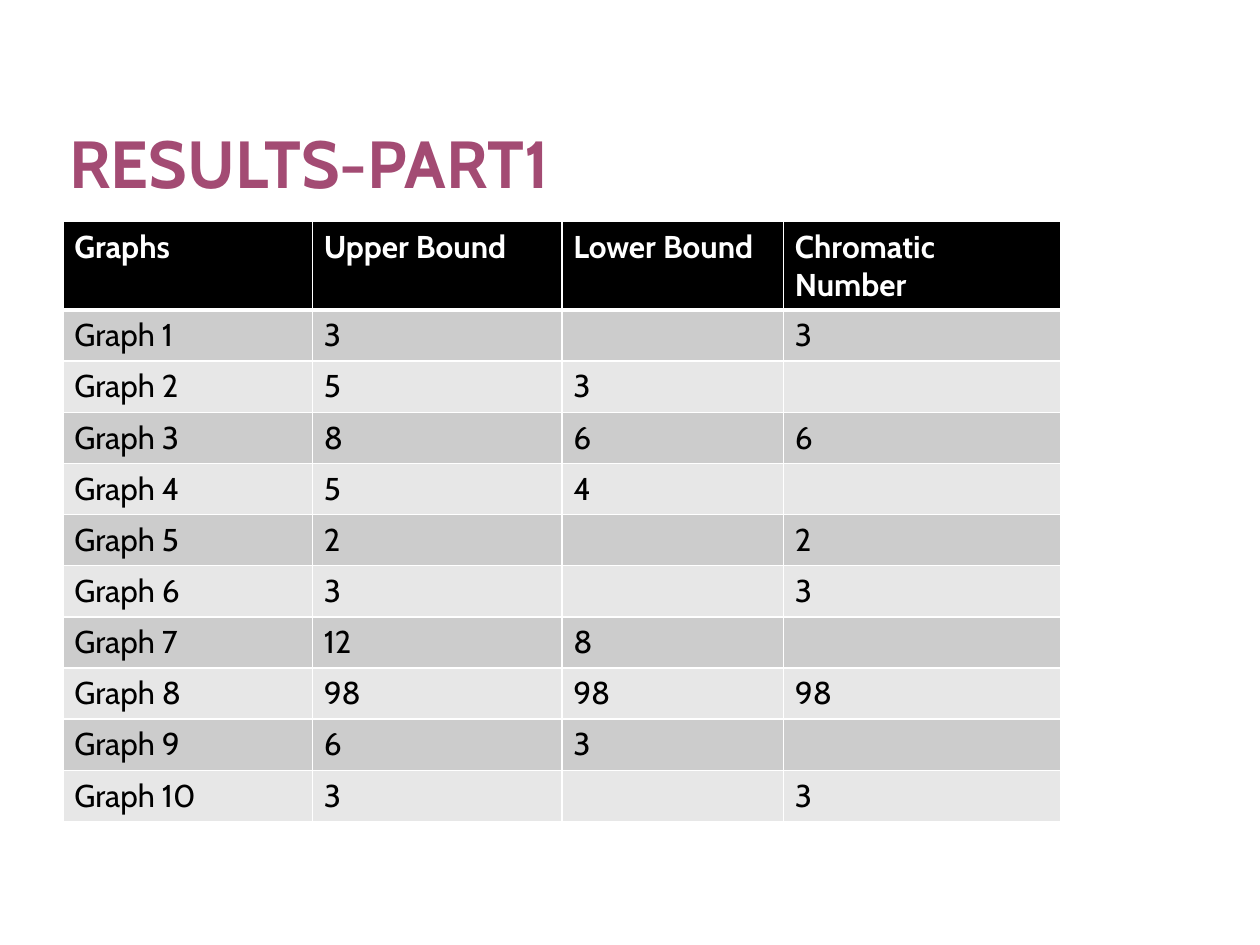
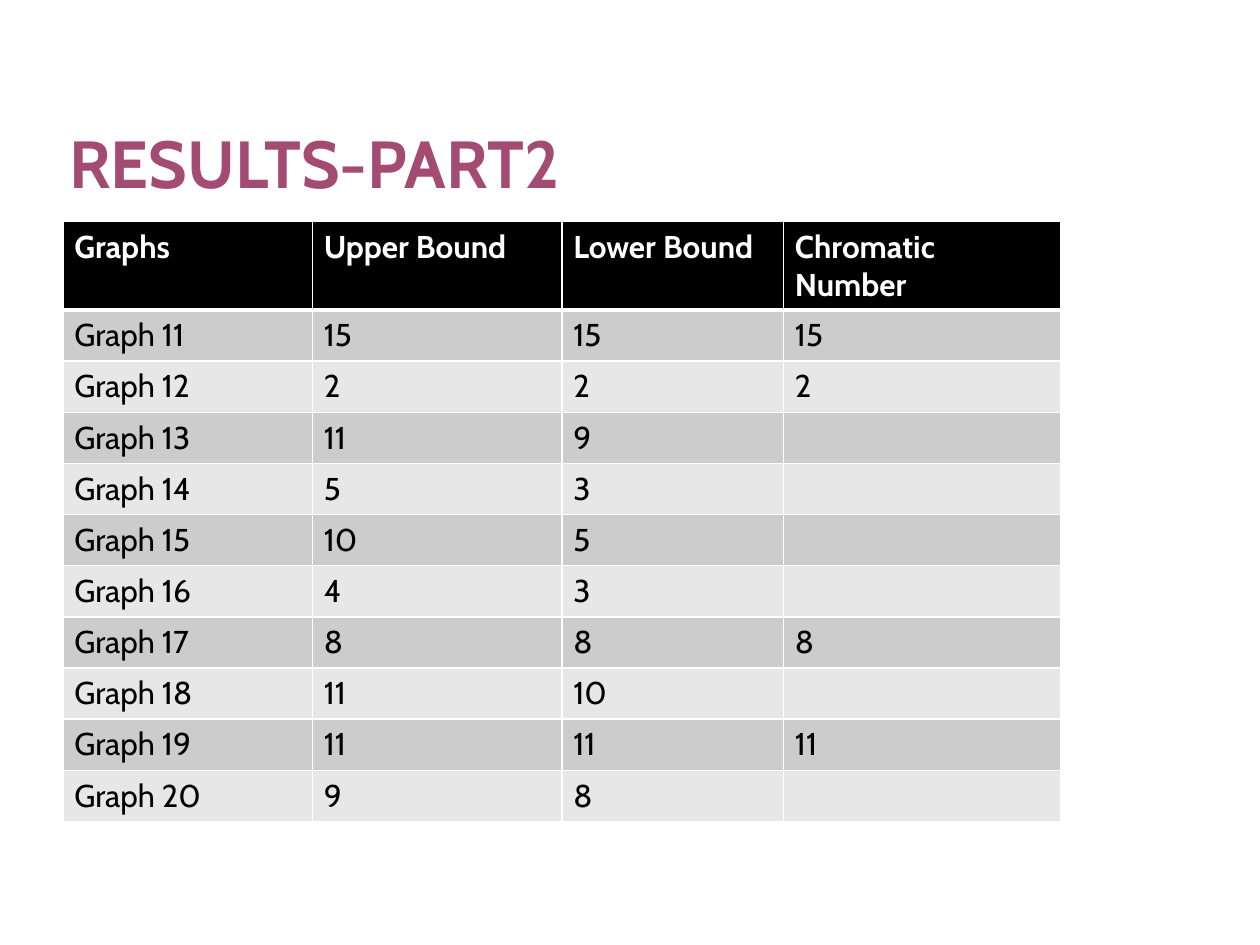
from dataclasses import dataclass

from lxml.etree import SubElement
from pptx import Presentation
from pptx.dml.color import RGBColor
from pptx.enum.text import MSO_ANCHOR
from pptx.oxml import parse_xml
from pptx.oxml.ns import nsdecls, qn
from pptx.util import Inches, Pt


@dataclass(frozen=True)
class Theme:
    font: str = "Cabin"
    title_size: float = 38
    table_size: float = 18
    title: str = "A34B73"
    title_outline: str = "5E1A50"
    header_fill: str = "000000"
    header_text: str = "FFFFFF"
    body_text: str = "000000"
    band_fills: tuple = ("CCCCCC", "E7E7E7")
    border: str = "FFFFFF"
    border_width: float = 1
    header_rule_width: float = 3


LEFT, CONTENT_WIDTH = 0.5, 7.92
TITLE_TOP, TITLE_HEIGHT = 0.35, 1.25
TABLE_TOP, TABLE_HEIGHT, HEADER_HEIGHT = 1.76, 4.76, 0.7
COLUMN_WIDTHS = (1.98, 1.98, 1.76, 2.2)
HEADERS = ("Graphs", "Upper Bound", "Lower Bound", "Chromatic Number")

# Upper bound, lower bound and chromatic number of each graph
PART_1 = [
    (3, "", 3), (5, 3, ""), (8, 6, 6), (5, 4, ""), (2, "", 2),
    (3, "", 3), (12, 8, ""), (98, 98, 98), (6, 3, ""), (3, "", 3),
]
PART_2 = [
    (15, 15, 15), (2, 2, 2), (11, 9, ""), (5, 3, ""), (10, 5, ""),
    (4, 3, ""), (8, 8, 8), (11, 10, ""), (11, 11, 11), (9, 8, ""),
]


class ResultsDeck:
    def __init__(self, theme):
        self.theme = theme
        self.presentation = Presentation()
        self.presentation.slide_width = Inches(10)
        self.presentation.slide_height = Inches(7.5)
        self.slide = None

    def add_slide(self):
        self.slide = self.presentation.slides.add_slide(self.presentation.slide_layouts[6])

    def format_runs(self, text_frame, size, color, bold):
        for paragraph in text_frame.paragraphs:
            for run in paragraph.runs:
                run.font.name = self.theme.font
                run.font.size = Pt(size)
                run.font.bold = bold
                run.font.color.rgb = RGBColor.from_string(color)

    def add_title(self, text):
        title_box = self.slide.shapes.add_textbox(
            Inches(LEFT), Inches(TITLE_TOP), Inches(CONTENT_WIDTH), Inches(TITLE_HEIGHT))
        text_frame = title_box.text_frame
        text_frame.word_wrap = True
        text_frame.vertical_anchor = MSO_ANCHOR.BOTTOM
        text_frame.margin_left = text_frame.margin_right = Inches(0.05)
        text_frame.margin_top = text_frame.margin_bottom = 0
        text_frame.text = text
        self.format_runs(text_frame, self.theme.title_size, self.theme.title, True)
        outline = parse_xml(
            f'<a:ln {nsdecls("a")} w="{Pt(0.04)}"><a:solidFill>'
            f'<a:srgbClr val="{self.theme.title_outline}"/></a:solidFill></a:ln>')
        text_frame.paragraphs[0].runs[0].font._element.insert(0, outline)

    def add_borders(self, cell, top, bottom):
        """Draw the four cell borders; top and bottom are widths in points."""
        side = self.theme.border_width
        properties = cell._tc.get_or_add_tcPr()
        for tag, width in (("lnL", side), ("lnR", side), ("lnT", top), ("lnB", bottom)):
            line = SubElement(properties, qn(f"a:{tag}"), w=str(Pt(width)))
            fill = SubElement(line, qn("a:solidFill"))
            SubElement(fill, qn("a:srgbClr"), val=self.theme.border)

    def fill_cell(self, cell, value, row_index):
        theme = self.theme
        is_header = row_index == 0
        cell.margin_left = cell.margin_right = Inches(0.09)
        cell.margin_top = cell.margin_bottom = Inches(0.05)
        self.add_borders(
            cell,
            top=theme.header_rule_width if row_index == 1 else theme.border_width,
            bottom=theme.header_rule_width if is_header else theme.border_width)
        fill_color = theme.header_fill if is_header else theme.band_fills[(row_index - 1) % 2]
        cell.fill.solid()
        cell.fill.fore_color.rgb = RGBColor.from_string(fill_color)
        cell.text_frame.text = str(value)
        text_color = theme.header_text if is_header else theme.body_text
        self.format_runs(cell.text_frame, theme.table_size, text_color, is_header)

    def add_table(self, rows):
        table = self.slide.shapes.add_table(
            len(rows), len(COLUMN_WIDTHS), Inches(LEFT), Inches(TABLE_TOP),
            Inches(CONTENT_WIDTH), Inches(TABLE_HEIGHT)).table
        for column, width in zip(table.columns, COLUMN_WIDTHS):
            column.width = Inches(width)
        body_height = (TABLE_HEIGHT - HEADER_HEIGHT) / (len(rows) - 1)
        for row_index, values in enumerate(rows):
            table.rows[row_index].height = Inches(body_height if row_index else HEADER_HEIGHT)
            for column_index, value in enumerate(values):
                self.fill_cell(table.cell(row_index, column_index), value, row_index)


def main():
    deck = ResultsDeck(Theme())
    first_graph = 1
    for part, results in enumerate((PART_1, PART_2), start=1):
        deck.add_slide()
        deck.add_title(f"RESULTS-PART{part}")
        graph_rows = [(f"Graph {number}", *values)
                      for number, values in enumerate(results, start=first_graph)]
        deck.add_table([HEADERS, *graph_rows])
        first_graph += len(results)
    deck.presentation.save("out.pptx")


if __name__ == "__main__":
    main()
